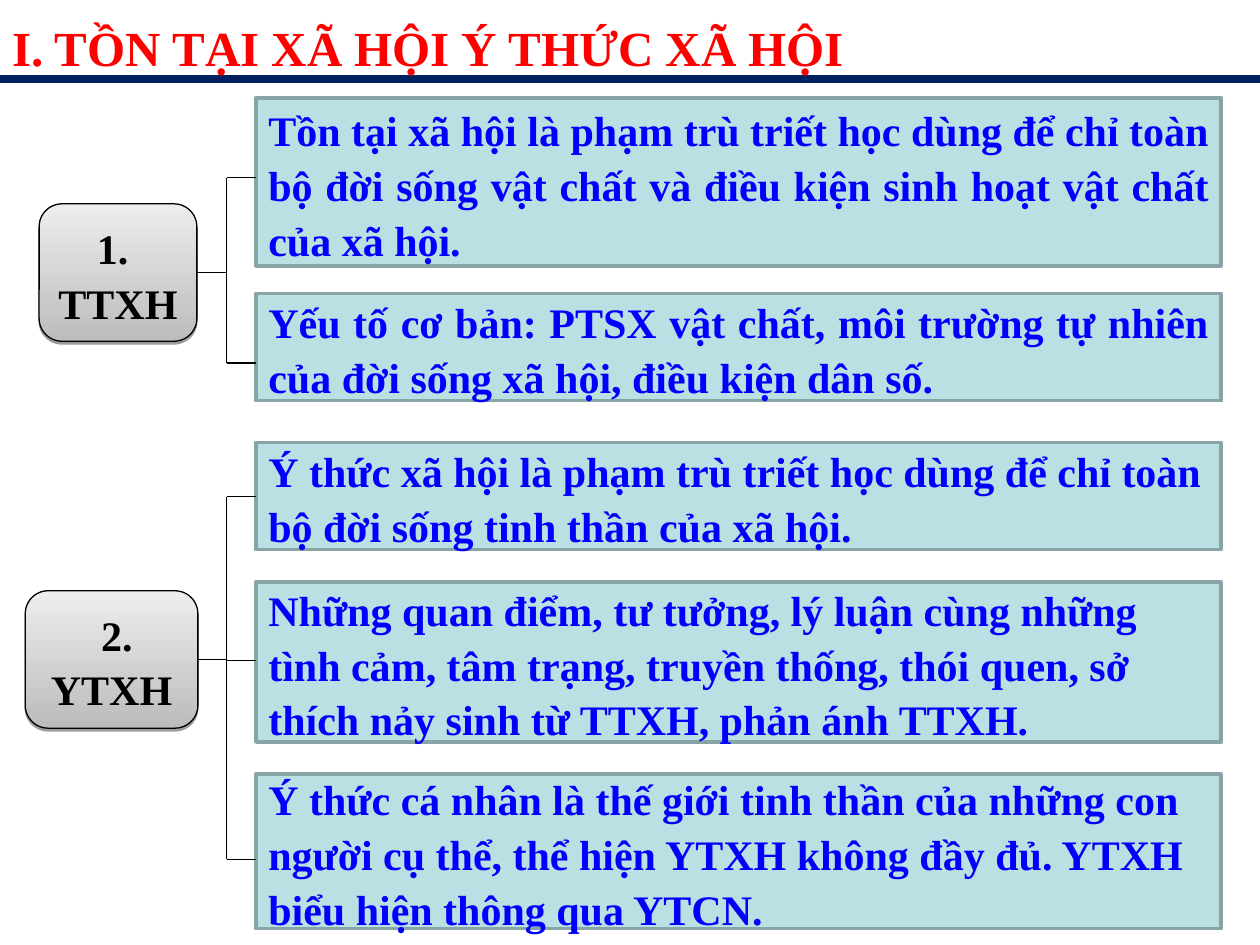
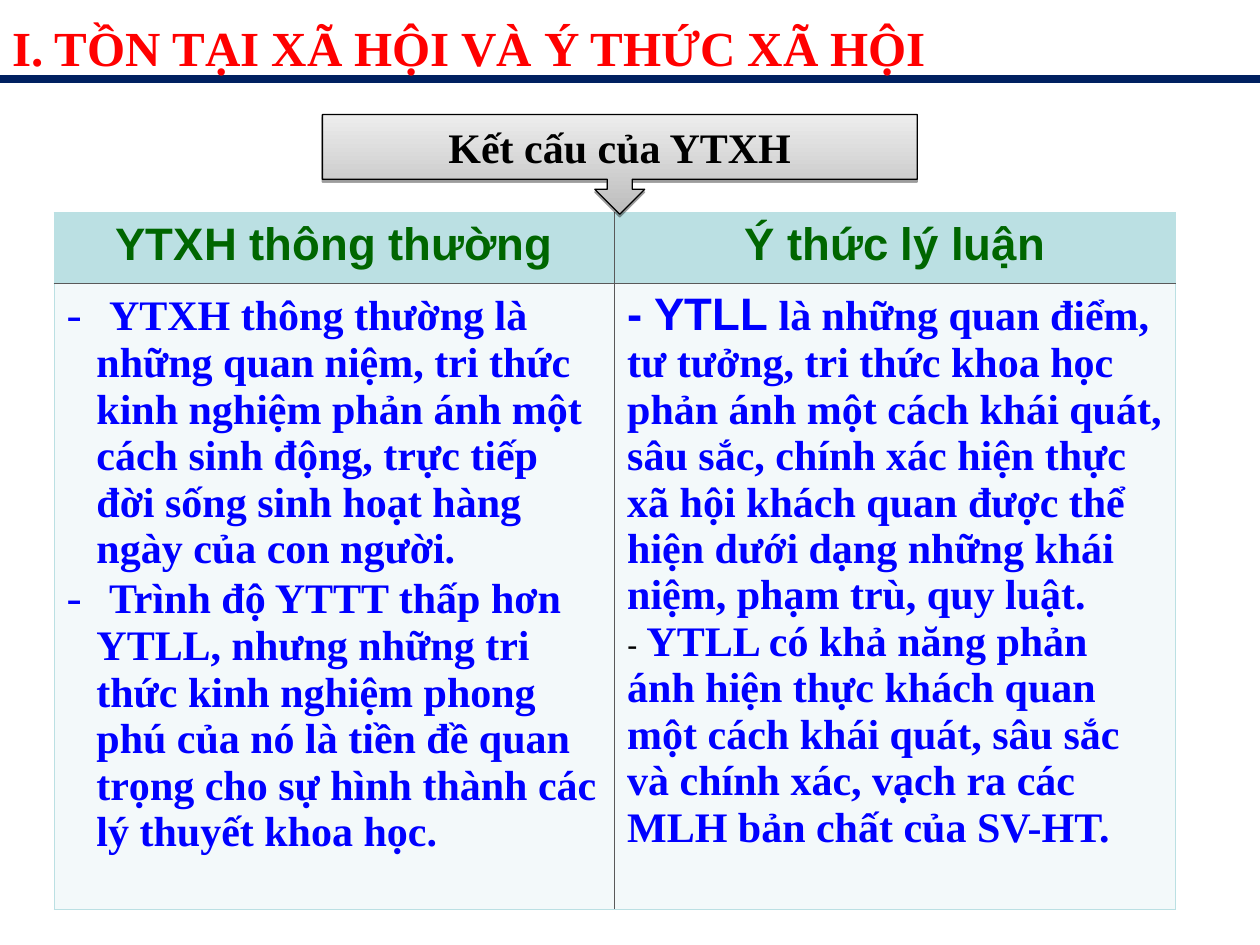
from lxml import etree
from pptx import Presentation
from pptx.dml.color import RGBColor
from pptx.enum.shapes import MSO_CONNECTOR, MSO_SHAPE
from pptx.enum.text import MSO_ANCHOR, PP_ALIGN
from pptx.oxml import parse_xml
from pptx.oxml.ns import nsdecls, qn
from pptx.util import Cm, Pt

NAVY = RGBColor(0x00, 0x20, 0x60)
RED = RGBColor(0xFF, 0x00, 0x00)
BLUE = RGBColor(0x00, 0x00, 0xFF)
GREEN = RGBColor(0x00, 0x66, 0x00)
BLACK = RGBColor(0x00, 0x00, 0x00)
TEAL = RGBColor(0xBB, 0xE0, 0xE3)
TEAL_EDGE = RGBColor(0x89, 0xA4, 0xA7)
PALE = RGBColor(0xF3, 0xF9, 0xFA)
RULE = RGBColor(0x59, 0x59, 0x59)
GREY_DARK = RGBColor(0xBC, 0xBC, 0xBC)
GREY_LIGHT = RGBColor(0xED, 0xED, 0xED)
SERIF, SANS = "Times New Roman", "Arial"
LEFT, CENTER, JUSTIFY = PP_ALIGN.LEFT, PP_ALIGN.CENTER, PP_ALIGN.JUSTIFY

WIDTH, HEIGHT = 25.4, 19.05
BOX_LEFT, BOX_WIDTH = 5.16, 19.46
SPINE_X = 4.57
BOX_SPACING = 1.09

TITLES = ["I. TỒN TẠI XÃ HỘI Ý THỨC XÃ HỘI", "I. TỒN TẠI XÃ HỘI VÀ Ý THỨC XÃ HỘI"]

# Topic box (left, top, width, height), then its definitions:
# top, height, y of the branch, alignment, text
TOPICS = [
    dict(lines=["1. ", "TTXH"], at=(0.79, 4.11, 3.18, 2.77), boxes=[
        (1.98, 3.38, 3.58, JUSTIFY,
         "Tồn tại xã hội là phạm trù triết học dùng để chỉ toàn bộ đời sống vật chất "
         "và điều kiện sinh hoạt vật chất của xã hội. "),
        (5.92, 2.16, 7.32, JUSTIFY,
         "Yếu tố cơ bản: PTSX vật chất, môi trường tự nhiên của đời sống xã hội, "
         "điều kiện dân số. "),
    ]),
    dict(lines=[" 2. YTXH"], at=(0.51, 11.91, 3.48, 2.77), boxes=[
        (8.92, 2.16, 10.01, LEFT,
         "Ý thức xã hội là phạm trù triết học dùng để chỉ toàn bộ đời sống tinh thần "
         "của xã hội."),
        (11.73, 3.23, 13.32, LEFT,
         "Những quan điểm, tư tưởng, lý luận cùng những tình cảm, tâm trạng, truyền "
         "thống, thói quen, sở thích nảy sinh từ TTXH, phản ánh TTXH."),
        (15.6, 3.12, 17.32, LEFT,
         "Ý thức cá nhân là thế giới tinh thần của những con người cụ thể, thể hiện "
         "YTXH không đầy đủ. YTXH biểu hiện thông qua YTCN."),
    ]),
]

CALLOUT = "Kết cấu của YTXH"
HEADERS = ["YTXH thông thường", "Ý thức lý luận"]
LARGE = dict(size=26, font=SANS)
ORDINARY = [
    [(" ", LARGE),
     ("YTXH thông thường là những quan niệm, tri thức kinh nghiệm phản ánh một cách "
      "sinh động, trực tiếp đời sống sinh hoạt hàng ngày của con người.", {})],
    [(" ", LARGE),
     ("Trình độ YTTT thấp hơn YTLL, nhưng những tri thức kinh nghiệm phong phú của nó "
      "là tiền đề quan trọng cho sự hình thành các lý thuyết khoa học.", {})],
]
THEORETICAL = [
    [("- YTLL", LARGE),
     (" là những quan điểm, tư tưởng, tri thức khoa học phản ánh một cách khái quát, "
      "sâu sắc, chính xác hiện thực xã hội khách quan được thể hiện dưới dạng những "
      "khái niệm, phạm trù, quy luật.", {})],
    [("- ", dict(size=18, font=SANS, color=BLACK, bold=False)),
     ("YTLL có khả năng phản ánh hiện thực khách quan một cách khái quát, sâu sắc và "
      "chính xác, vạch ra các MLH bản chất của SV-HT.", {})],
]
TABLE_LEFT, TABLE_TOP, COL_WIDTH, ROW_HEIGHTS = 1.09, 4.29, 11.3, (1.42, 12.62)


def write(tf, paragraphs, align=LEFT, spacing=None, hang=0, bullet=None, **fmt):
    """Fill a text frame; a paragraph is a string or a list of (text, format) runs."""
    tf.word_wrap = True
    for i, runs in enumerate(paragraphs):
        p = tf.paragraphs[0] if i == 0 else tf.add_paragraph()
        p.alignment = align
        if spacing:
            p.line_spacing = spacing
        pPr = p._p.get_or_add_pPr()
        if hang:
            pPr.set("marL", str(Cm(hang)))
            pPr.set("indent", str(-Cm(hang)))
        if bullet:
            color = etree.SubElement(pPr, qn("a:buClr"))
            etree.SubElement(color, qn("a:srgbClr"), val=str(fmt["color"]))
            etree.SubElement(pPr, qn("a:buFont"), typeface=SERIF)
            etree.SubElement(pPr, qn("a:buChar"), char=bullet)
        for text, own in [(runs, {})] if isinstance(runs, str) else runs:
            look = dict(size=24, font=SERIF, bold=True, color=BLACK) | fmt | own
            r = p.add_run()
            r.text = text
            r.font.size, r.font.name = Pt(look["size"]), look["font"]
            r.font.bold, r.font.color.rgb = look["bold"], look["color"]


def add_line(s, x1, y1, x2, y2, color=BLACK, width=0.75):
    line = s.shapes.add_connector(MSO_CONNECTOR.STRAIGHT, Cm(x1), Cm(y1), Cm(x2), Cm(y2))
    line.line.color.rgb, line.line.width = color, Pt(width)
    etree.SubElement(line._element.spPr, qn("a:effectLst"))


def add_box(s, kind, at, color, width):
    sp = s.shapes.add_shape(kind, *map(Cm, at))
    sp.shadow.inherit = False
    sp.line.color.rgb, sp.line.width = color, Pt(width)
    sp.text_frame.vertical_anchor = MSO_ANCHOR.MIDDLE
    return sp


def add_grey_box(s, kind, at, lines, **fmt):
    sp = add_box(s, kind, at, BLACK, 0.75)
    sp.fill.gradient()
    sp.fill.gradient_angle = 90
    for stop, color in zip(sp.fill.gradient_stops, (GREY_DARK, GREY_LIGHT)):
        stop.color.rgb = color
    sp._element.spPr.find(qn("a:effectLst")).append(parse_xml(
        f'<a:outerShdw {nsdecls("a")} dist="20000" dir="5400000" rotWithShape="0">'
        '<a:srgbClr val="000000"><a:alpha val="38000"/></a:srgbClr></a:outerShdw>'))
    write(sp.text_frame, lines, align=CENTER, **fmt)
    return sp


def add_titled_slide(prs, title):
    s = prs.slides.add_slide(prs.slide_layouts[6])
    add_line(s, 0, 1.6, WIDTH, 1.6, NAVY, 4.5)
    tb = s.shapes.add_textbox(0, 0, Cm(WIDTH), Cm(1.68))
    write(tb.text_frame, [title], align=JUSTIFY, spacing=1.2, hang=1.42, size=28, color=RED)
    return s


def add_topic(s, lines, at, boxes):
    """Draw a topic, its definitions and the bracket that joins them."""
    for top, height, branch_y, align, text in boxes:
        sp = add_box(s, MSO_SHAPE.RECTANGLE, (BOX_LEFT, top, BOX_WIDTH, height), TEAL_EDGE, 2)
        sp.fill.solid()
        sp.fill.fore_color.rgb = TEAL
        write(sp.text_frame, [text], align=align, spacing=BOX_SPACING, color=BLUE)
        add_line(s, SPINE_X, branch_y, BOX_LEFT, branch_y)
    left, top, width, height = at
    middle = top + height / 2
    add_line(s, SPINE_X, boxes[0][2], SPINE_X, boxes[-1][2])
    add_line(s, left + width, middle, SPINE_X, middle)
    add_grey_box(s, MSO_SHAPE.ROUNDED_RECTANGLE, at, lines, spacing=BOX_SPACING)


def set_borders(cell, row, col):
    """Dark rules between cells, pale ones round the table."""
    inner = {"lnL": col == 1, "lnR": col == 0, "lnT": row == 1, "lnB": row == 0}
    for tag, is_inner in inner.items():
        color, width = (RULE, 0.75) if is_inner else (TEAL, 0.45)
        ln = etree.SubElement(cell._tc.get_or_add_tcPr(), qn(f"a:{tag}"), w=str(Pt(width)))
        fill = etree.SubElement(ln, qn("a:solidFill"))
        etree.SubElement(fill, qn("a:srgbClr"), val=str(color))


def add_comparison(s):
    table = s.shapes.add_table(2, 2, Cm(TABLE_LEFT), Cm(TABLE_TOP), Cm(2 * COL_WIDTH),
                               Cm(sum(ROW_HEIGHTS))).table
    table.first_row = table.horz_banding = False
    for row, height in enumerate(ROW_HEIGHTS):
        table.rows[row].height = Cm(height)
        for col in range(2):
            table.columns[col].width = Cm(COL_WIDTH)
            cell = table.cell(row, col)
            set_borders(cell, row, col)
            cell.fill.solid()
            cell.fill.fore_color.rgb = PALE if row else TEAL
    for col, header in enumerate(HEADERS):
        write(table.cell(0, col).text_frame, [header], align=CENTER, color=GREEN, **LARGE)
    write(table.cell(1, 0).text_frame, ORDINARY, hang=0.6, bullet="-", color=BLUE)
    write(table.cell(1, 1).text_frame, THEORETICAL, color=BLUE)


def main():
    prs = Presentation()
    prs.slide_width, prs.slide_height = Cm(WIDTH), Cm(HEIGHT)
    topics, structure = [add_titled_slide(prs, title) for title in TITLES]
    for topic in TOPICS:
        add_topic(topics, **topic)
    add_comparison(structure)
    callout = add_grey_box(structure, MSO_SHAPE.DOWN_ARROW_CALLOUT, (6.5, 2.31, 11.99, 2.01),
                           [CALLOUT])
    for i, value in enumerate((0.25, 0.25, 0.25, 0.65)):
        callout.adjustments[i] = value
    prs.save("out.pptx")


if __name__ == "__main__":
    main()
